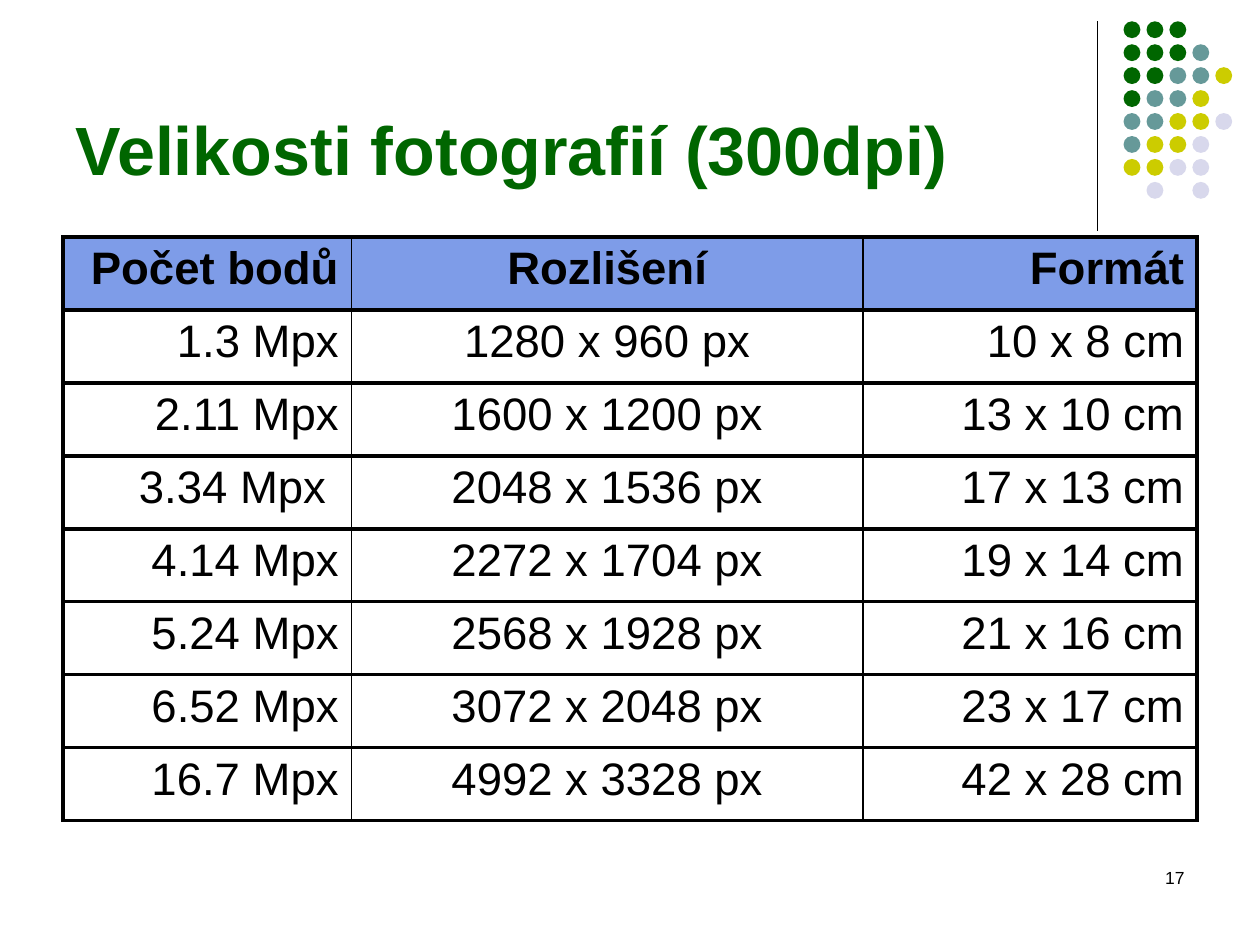
from lxml import etree
from pptx import Presentation
from pptx.dml.color import RGBColor
from pptx.enum.shapes import MSO_CONNECTOR, MSO_SHAPE
from pptx.enum.text import MSO_ANCHOR, PP_ALIGN
from pptx.oxml.ns import qn
from pptx.util import Cm, Pt

LEFT, CENTER, RIGHT = PP_ALIGN.LEFT, PP_ALIGN.CENTER, PP_ALIGN.RIGHT
TOP, BOTTOM = MSO_ANCHOR.TOP, MSO_ANCHOR.BOTTOM
STRAIGHT, OVAL = MSO_CONNECTOR.STRAIGHT, MSO_SHAPE.OVAL

GREEN, BLACK, HEADER_BLUE = "006600", "000000", "7E9CE8"
DOT_COLORS = {"G": GREEN, "T": "669999", "Y": "CCCC00", "L": "D8D8EC"}
DOT_ROWS = ["GGG", "GGGT", "GGTTY", "GTTY", "TTYYL", "TYYL", "YYLL", " L L"]
PHOTO_SIZES = [
    ("Počet bodů", "Rozlišení", "Formát"),
    ("1.3 Mpx", "1280 x 960 px", "10 x 8 cm"),
    ("2.11 Mpx", "1600 x 1200 px", "13 x 10 cm"),
    ("3.34 Mpx ", "2048 x 1536 px", "17 x 13 cm"),
    ("4.14 Mpx", "2272 x 1704 px", "19 x 14 cm"),
    ("5.24 Mpx", "2568 x 1928 px", "21 x 16 cm"),
    ("6.52 Mpx", "3072 x 2048 px", "23 x 17 cm"),
    ("16.7 Mpx", "4992 x 3328 px", "42 x 28 cm"),
]
COLUMN_SHARES = [2.29, 4.06, 2.65]
COLUMN_ALIGNS = [RIGHT, CENTER, RIGHT]


def rgb(value):
    """Turn a hex string into a colour."""
    return RGBColor.from_string(value)


def write(frame, text, size, color=BLACK, bold=False, align=LEFT):
    """Write one formatted paragraph into a text frame."""
    paragraph = frame.paragraphs[0]
    paragraph.alignment = align
    run = paragraph.add_run()
    run.text = text
    run.font.name = "Arial"
    run.font.size = Pt(size)
    run.font.bold = bold
    run.font.color.rgb = rgb(color)


def add_text(slide, box, text, anchor=TOP, **text_format):
    """Place a wrapped line of text in a box."""
    frame = slide.shapes.add_textbox(*map(Cm, box)).text_frame
    frame.word_wrap = True
    frame.vertical_anchor = anchor
    write(frame, text, **text_format)


def add_ornament(slide, box):
    """Draw the vertical rule and the dot pattern beside it."""
    left, top, width, height = box
    rule = slide.shapes.add_connector(
        STRAIGHT, Cm(left), Cm(top), Cm(left), Cm(top + height))
    rule.line.color.rgb = rgb(BLACK)
    rule.line.width = Pt(0.75)
    etree.SubElement(rule.element.spPr, qn("a:effectLst"))

    diameter, indent = 0.34, 0.53
    pitch = (width - indent - diameter) / 4
    dots = slide.shapes.add_group_shape()
    for row, pattern in enumerate(DOT_ROWS):
        for column, key in enumerate(pattern):
            if key == " ":
                continue
            dot = dots.shapes.add_shape(
                OVAL, Cm(left + indent + column * pitch), Cm(top + row * pitch),
                Cm(diameter), Cm(diameter))
            dot.shadow.inherit = False
            dot.fill.solid()
            dot.fill.fore_color.rgb = rgb(DOT_COLORS[key])
            dot.line.fill.background()


def set_borders(cell, **widths):
    """Give a cell black borders, with widths in points by side."""
    properties = cell._tc.get_or_add_tcPr()
    for side, width in widths.items():
        border = etree.SubElement(properties, qn(f"a:ln{side}"), w=str(Pt(width)))
        fill = etree.SubElement(border, qn("a:solidFill"))
        etree.SubElement(fill, qn("a:srgbClr"), val=BLACK)


def add_size_table(slide, box):
    """Build the table of photo sizes."""
    left, top, width, height = box
    row_count, column_count = len(PHOTO_SIZES), len(COLUMN_SHARES)
    table = slide.shapes.add_table(
        row_count, column_count, *map(Cm, box)).table
    table.first_row = table.horz_banding = False
    for column, share in zip(table.columns, COLUMN_SHARES):
        column.width = Cm(width * share / sum(COLUMN_SHARES))
    for row, values in enumerate(PHOTO_SIZES):
        table.rows[row].height = Cm(height / row_count)
        for column, value in enumerate(values):
            cell = table.cell(row, column)
            set_borders(cell, L=2.25 if column == 0 else 1,
                        R=2.25 if column == column_count - 1 else 1,
                        T=2.25, B=2.25)
            if row == 0:
                cell.fill.solid()
                cell.fill.fore_color.rgb = rgb(HEADER_BLUE)
            else:
                cell.fill.background()
            write(cell.text_frame, value, size=26, bold=row == 0,
                  align=COLUMN_ALIGNS[column])


def main():
    """Build and save the slide."""
    deck = Presentation()
    deck.slide_width, deck.slide_height = Cm(25.4), Cm(19.05)
    slide = deck.slides.add_slide(deck.slide_layouts[6])
    add_ornament(slide, (22.12, 0.43, 2.72, 4.22))
    add_text(slide, (18.21, 17.35, 5.92, 1.27), "17", size=10, align=RIGHT)
    add_text(slide, (1.27, 0.33, 20.96, 3.61), "Velikosti fotografií (300dpi)",
             anchor=BOTTOM, size=39, color=GREEN, bold=True)
    add_size_table(slide, (1.27, 4.78, 22.86, 11.76))
    deck.save("out.pptx")


if __name__ == "__main__":
    main()
